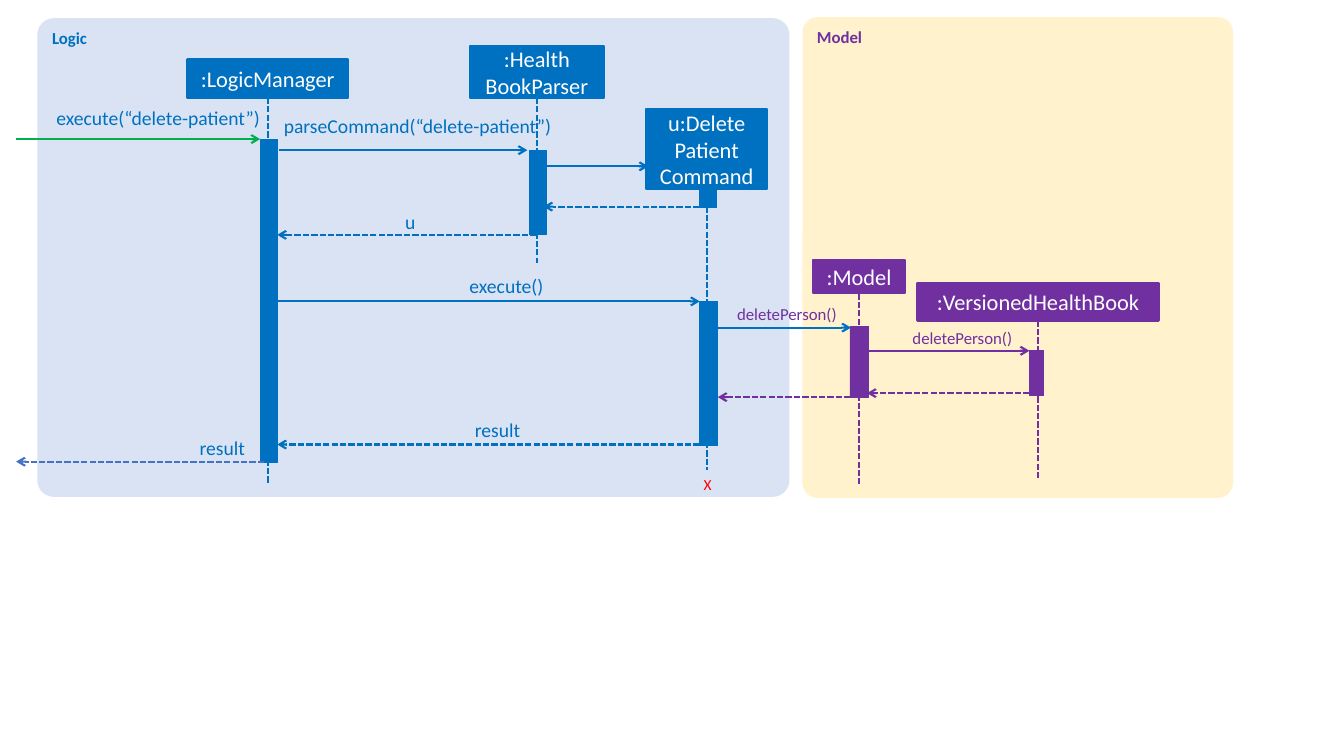
"""Build a sequence diagram of the delete-patient command across Logic and Model."""
from lxml import etree
from pptx import Presentation
from pptx.dml.color import RGBColor
from pptx.enum.dml import MSO_LINE
from pptx.enum.shapes import MSO_CONNECTOR, MSO_SHAPE
from pptx.enum.text import MSO_ANCHOR, MSO_AUTO_SIZE, PP_ALIGN
from pptx.oxml.ns import qn
from pptx.util import Inches, Pt

RECT, ROUNDED = MSO_SHAPE.RECTANGLE, MSO_SHAPE.ROUNDED_RECTANGLE
STRAIGHT = MSO_CONNECTOR.STRAIGHT
DASH = MSO_LINE.SQUARE_DOT
TOP, MIDDLE = MSO_ANCHOR.TOP, MSO_ANCHOR.MIDDLE
LEFT, CENTER, RIGHT = PP_ALIGN.LEFT, PP_ALIGN.CENTER, PP_ALIGN.RIGHT
FIT = MSO_AUTO_SIZE.SHAPE_TO_FIT_TEXT

BLUE = RGBColor(0x00, 0x70, 0xC0)
PURPLE = RGBColor(0x70, 0x30, 0xA0)
GREEN = RGBColor(0x00, 0xB0, 0x50)
RETURN_BLUE = RGBColor(0x44, 0x72, 0xC4)
RED = RGBColor(0xFF, 0x00, 0x00)
WHITE = RGBColor(0xFF, 0xFF, 0xFF)
PALE_BLUE = RGBColor(0xDA, 0xE3, 0xF3)
PALE_YELLOW = RGBColor(0xFF, 0xF2, 0xCC)
FONT = "Calibri"

# Each entry: title, left, top, width, height, fill, title colour
PANELS = [
    ("Model", 7.96, 0.17, 4.27, 4.77, PALE_YELLOW, PURPLE),
    ("Logic", 0.37, 0.18, 7.46, 4.75, PALE_BLUE, BLUE),
]
# Each entry: name, left, top, width, height, lifeline end, colour
PARTICIPANTS = [
    (":LogicManager", 1.86, 0.59, 1.59, 0.38, 4.8, BLUE),
    (":Health\nBookParser", 4.66, 0.46, 1.33, 0.51, 2.61, BLUE),
    ("u:Delete\nPatient\vCommand", 6.41, 1.08, 1.2, 0.8, 4.66, BLUE),
    (":Model", 8.06, 2.58, 0.92, 0.33, 4.8, PURPLE),
    (":VersionedHealthBook", 9.1, 2.81, 2.39, 0.37, 4.75, PURPLE),
]
# Each entry: left, top, width, height, colour
ACTIVATIONS = [
    (2.58, 1.38, 0.17, 3.21, BLUE),
    (5.25, 1.49, 0.17, 0.84, BLUE),
    (6.94, 1.88, 0.17, 0.18, BLUE),
    (6.94, 2.99, 0.18, 1.43, BLUE),
    (8.43, 3.24, 0.18, 0.7, PURPLE),
    (10.21, 3.48, 0.14, 0.44, PURPLE),
]
# Each entry: sender x, receiver x, y, colour
CALLS = [
    (0.16, 2.58, 1.38, GREEN),
    (2.77, 5.23, 1.49, BLUE),
    (5.42, 6.43, 1.65, BLUE),
    (2.75, 6.94, 2.99, BLUE),
    (7.12, 8.44, 3.25, BLUE),
    (8.6, 10.21, 3.48, PURPLE),
]
RETURNS = [
    (7.02, 5.39, 2.05, BLUE),
    (5.32, 2.75, 2.33, BLUE),
    (10.21, 8.6, 3.9, PURPLE),
    (8.52, 7.12, 3.94, PURPLE),
    (6.94, 2.75, 4.41, BLUE),
    (2.62, 0.16, 4.58, RETURN_BLUE),
]
# Each entry: text, left, top, width, size, colour
LABELS = [
    ("execute(“delete-patient”)", 0.3, 1.05, 2.28, 14, BLUE),
    ("parseCommand(“delete-patient”)", 2.43, 1.13, 3.04, 14, BLUE),
    ("u", 3.88, 2.08, 0.24, 14, BLUE),
    ("execute()", 4.45, 2.72, 0.94, 14, BLUE),
    ("deletePerson()", 7.22, 3.01, 1.08, 12, PURPLE),
    ("deletePerson()", 8.92, 3.25, 1.12, 12, PURPLE),
    ("result", 4.48, 4.15, 0.68, 14, BLUE),
    ("result", 1.6, 4.32, 0.83, 14, BLUE),
]
DESTROYED = ("X", 6.88, 4.66, 0.28, 0.29)


def write(frame, text, *, size, color, bold=False, align=LEFT, anchor=TOP,
          inset=None, wrap=True, fit=None):
    frame.word_wrap = wrap
    frame.vertical_anchor = anchor
    if fit is not None:
        frame.auto_size = fit
    if inset is not None:
        frame.margin_left = frame.margin_right = Inches(inset)
        frame.margin_top = frame.margin_bottom = Inches(inset)
    frame.text = text
    for paragraph in frame.paragraphs:
        paragraph.alignment = align
        for run in paragraph.runs:
            run.font.name = FONT
            run.font.size = Pt(size)
            run.font.bold = bold
            run.font.color.rgb = color


def add_box(shapes, kind, bounds, fill, border=None):
    box = shapes.add_shape(kind, *map(Inches, bounds))
    box.shadow.inherit = False
    box.fill.solid()
    box.fill.fore_color.rgb = fill
    if border is None:
        box.line.fill.background()
    else:
        box.line.color.rgb = fill
        box.line.width = Pt(border)
    return box


def add_line(shapes, start, end, color, dashed=False, arrow=False):
    line = shapes.add_connector(STRAIGHT, *map(Inches, (*start, *end)))
    line.line.color.rgb = color
    line.line.width = Pt(1.5)
    if dashed:
        line.line.dash_style = DASH
    if arrow:
        tip = etree.SubElement(line.line._get_or_add_ln(), qn("a:tailEnd"))
        tip.set("type", "arrow")
    etree.SubElement(line._element.spPr, qn("a:effectLst"))
    return line


def main():
    deck = Presentation()
    deck.slide_width, deck.slide_height = Inches(13.33), Inches(7.5)
    shapes = deck.slides.add_slide(deck.slide_layouts[6]).shapes

    for title, *bounds, fill, color in PANELS:
        panel = add_box(shapes, ROUNDED, bounds, fill)
        panel.adjustments[0] = 0.035
        write(panel.text_frame, title, size=12, color=color, bold=True)

    for name, left, top, width, height, life_end, color in PARTICIPANTS:
        head = add_box(shapes, RECT, (left, top, width, height), color, 1.5)
        write(head.text_frame, name, size=16, color=WHITE, align=CENTER, anchor=MIDDLE)
        center = left + width / 2
        lifeline = add_line(shapes, (center, top + height), (center, life_end),
                            color, dashed=True)
        lifeline.begin_connect(head, 2)

    for *bounds, color in ACTIVATIONS:
        add_box(shapes, RECT, bounds, color, 0.5)

    for messages, dashed in ((CALLS, False), (RETURNS, True)):
        for sender, receiver, y, color in messages:
            add_line(shapes, (sender, y), (receiver, y), color, dashed, arrow=True)

    for text, left, top, width, size, color in LABELS:
        label = shapes.add_textbox(*map(Inches, (left, top, width, size / 60)))
        write(label.text_frame, text, size=size, color=color, align=RIGHT,
              inset=0, fit=FIT)

    mark, *bounds = DESTROYED
    destroyed = shapes.add_textbox(*map(Inches, bounds))
    write(destroyed.text_frame, mark, size=11, color=RED, wrap=False, fit=FIT)

    deck.save("out.pptx")


if __name__ == "__main__":
    main()
